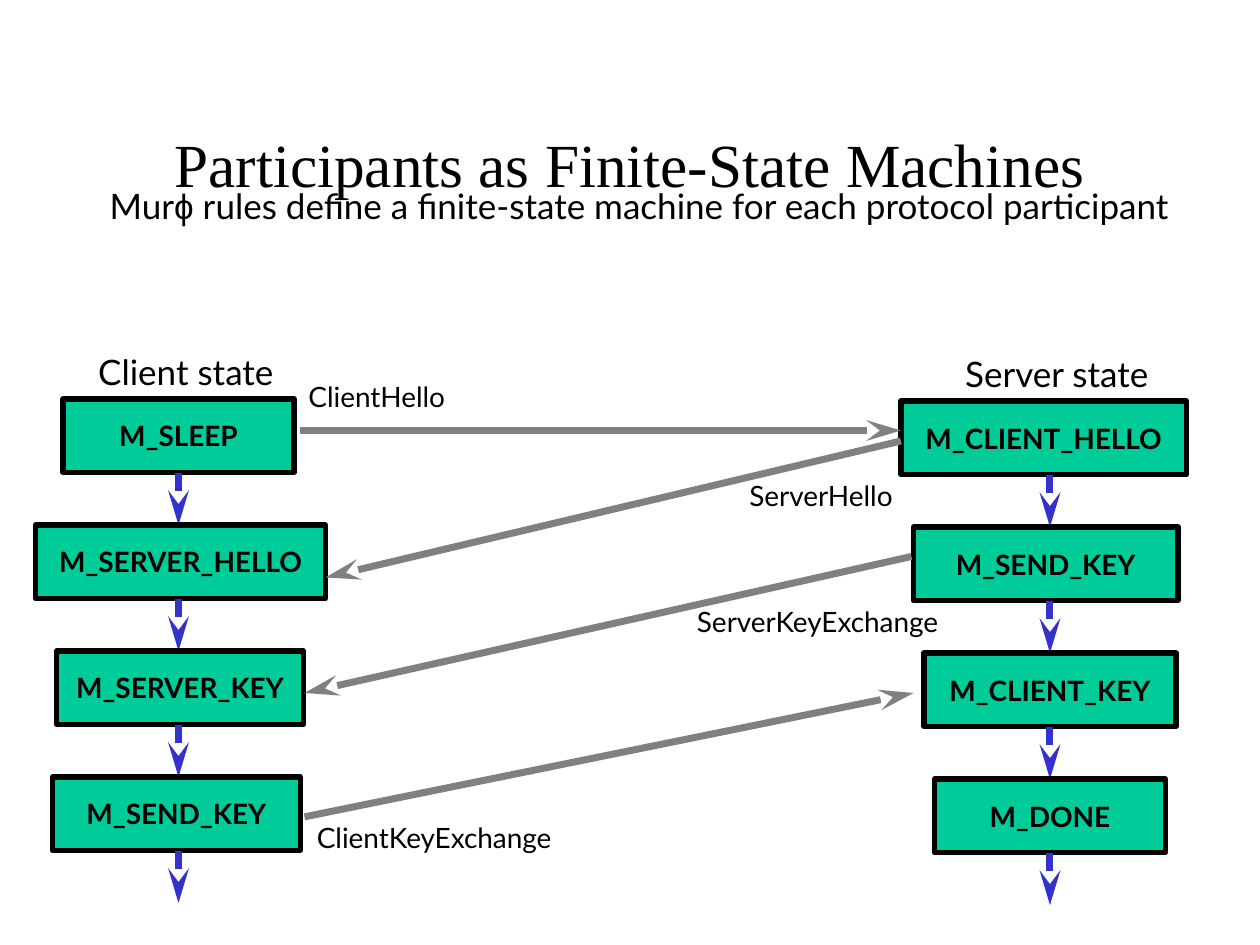
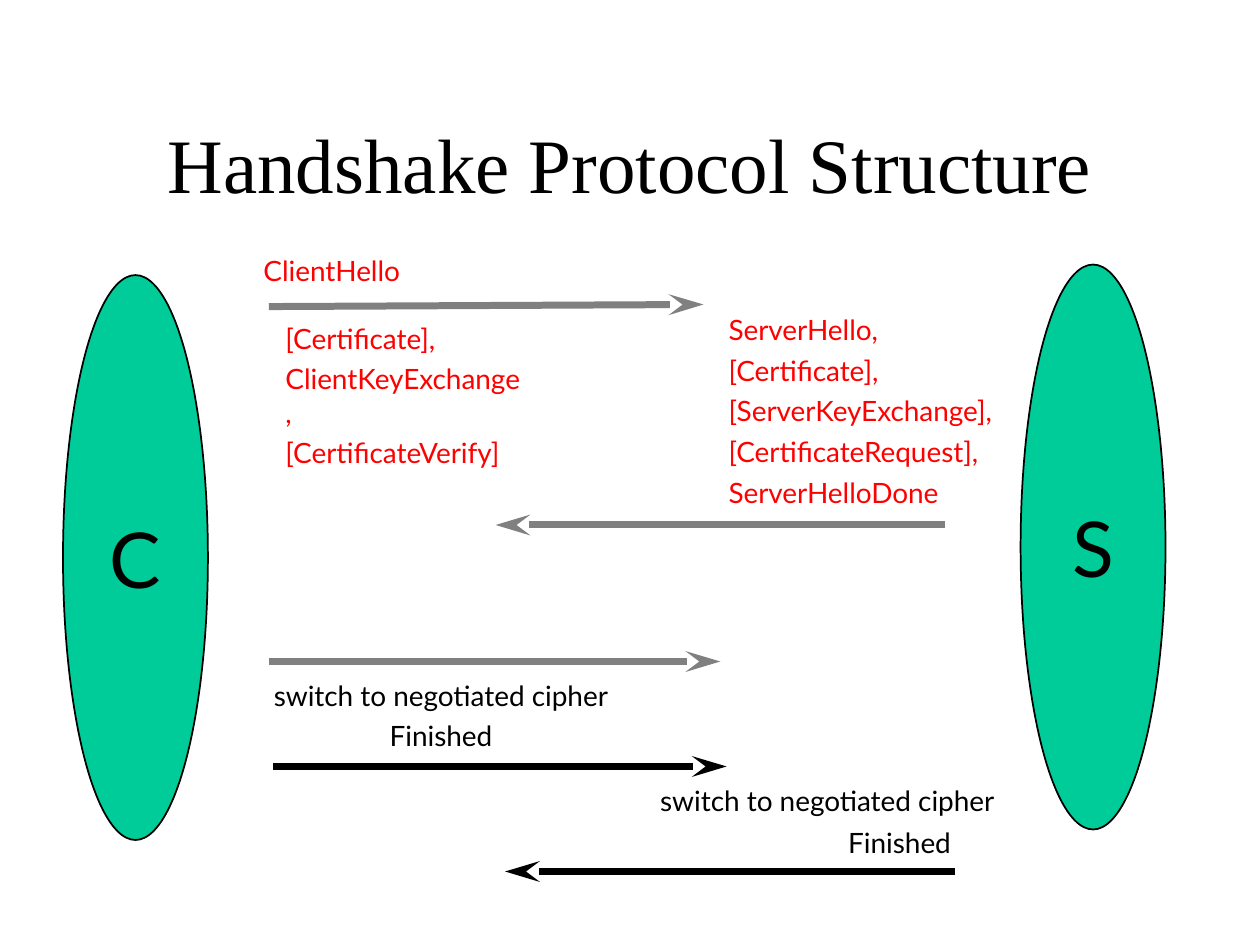
import pptx
import pptx.dml.color
import pptx.enum.shapes
import pptx.enum.text
import pptx.oxml.ns
import pptx.util
from lxml import etree

RGB = pptx.dml.color.RGBColor
BLACK = RGB(0x00, 0x00, 0x00)
GRAY = RGB(0x80, 0x80, 0x80)
GREEN = RGB(0x00, 0xCC, 0x99)
BLUE = RGB(0x33, 0x33, 0xCC)
RED = RGB(0xFF, 0x00, 0x00)

LEFT = pptx.enum.text.PP_ALIGN.LEFT
MID = pptx.enum.text.PP_ALIGN.CENTER
RECT = pptx.enum.shapes.MSO_SHAPE.RECTANGLE
OVAL = pptx.enum.shapes.MSO_SHAPE.OVAL

deck = pptx.Presentation()
deck.slide_width = pptx.util.Inches(10)
deck.slide_height = pptx.util.Inches(7.5)
UNIT = deck.slide_width / 120  # the grid has 120 columns and 90 rows


def put(slide, box, text, size=16, color=BLACK, align=LEFT, font="Lato",
        bold=False, form=None, edge=1):
    """Add text at box (left, top, width, height in grid units), in a green form if given."""
    place = [round(n * UNIT) for n in box]
    if form is None:
        shape = slide.shapes.add_textbox(*place)
    else:
        shape = slide.shapes.add_shape(form, *place)
        shape.shadow.inherit = False
        shape.fill.solid()
        shape.fill.fore_color.rgb = GREEN
        shape.line.color.rgb = BLACK
        shape.line.width = pptx.util.Pt(edge)
        shape.text_frame.vertical_anchor = pptx.enum.text.MSO_ANCHOR.MIDDLE
    frame = shape.text_frame
    frame.word_wrap = True
    frame.text = text
    for i, para in enumerate(frame.paragraphs):
        para.alignment = align
        para.space_before = pptx.util.Pt(4 if i else 0)
        para.font.size = pptx.util.Pt(size)
        para.font.name = font
        para.font.bold = bold
        para.font.color.rgb = color
    return frame


def arrow(slide, start, end, color):
    ends = [round(n * UNIT) for n in start + end]
    line = slide.shapes.add_connector(
        pptx.enum.shapes.MSO_CONNECTOR.STRAIGHT, *ends)
    line.line.color.rgb = color
    line.line.width = pptx.util.Pt(4)
    qn = pptx.oxml.ns.qn
    etree.SubElement(line.line._get_or_add_ln(), qn("a:tailEnd"),
                     type="stealth", w="med", len="lg")
    etree.SubElement(line._element.spPr, qn("a:effectLst"))


pages = []
for title, size in [("Participants as Finite-State Machines", 35),
                    ("Handshake Protocol Structure", 44)]:
    page = deck.slides.add_slide(deck.slide_layouts[6])
    frame = put(page, (9, 8, 102, 15), title, size, align=MID,
                font="Times New Roman")
    frame.vertical_anchor = pptx.enum.text.MSO_ANCHOR.MIDDLE
    pages.append(page)
states, shake = pages

# Slide 1: state machines
frame = put(states, (5.9, 17, 110, 5.3), "Mur", 20, align=MID)
intro = frame.paragraphs[0]
phi = intro.add_run()
phi.text = "ϕ"
phi.font.name = "Arial"
intro.add_run().text = " rules define a finite-state machine for each protocol participant"

put(states, (7.7, 32.8, 20, 5.3), "Client state", 20, align=MID)
put(states, (90.1, 33, 21.1, 5.3), "Server state", 20, align=MID)

STEP, TALL = 12, 7
client = [("M_SLEEP", 6, 22), ("M_SERVER_HELLO", 3.4, 27.6),
          ("M_SERVER_KEY", 5.4, 23.5), ("M_SEND_KEY", 5, 23.6)]
server = [("M_CLIENT_HELLO", 85.8, 27.2), ("M_SEND_KEY", 87, 25.2),
          ("M_CLIENT_KEY", 88, 24), ("M_DONE", 89, 22)]
for axis, top, chain in [(17, 38, client), (100, 38.2, server)]:
    for row, (name, left, width) in enumerate(chain):
        y = top + row * STEP
        put(states, (left, y, width, TALL), name, align=MID, bold=True,
            form=RECT, edge=3)
        arrow(states, (axis, y + TALL), (axis, y + STEP), BLUE)

# Message, label box (left, top, width), arrow start and end
for name, label, start, end in [
    ("ClientHello", (28.2, 35.6, 16.8), (28.6, 41), (85.8, 41)),
    ("ServerHello", (70.2, 45, 16.8), (85.8, 42), (31, 55)),
    ("ServerKeyExchange", (65.2, 57, 28.8), (86.8, 53), (29, 66)),
    ("ClientKeyExchange", (29, 77.6, 28.8), (29, 77.8), (87, 66)),
]:
    arrow(states, start, end, GRAY)
    put(states, label + (4.4,), name)

# Slide 2: handshake
for name, left, top in [("C", 6, 26.2), ("S", 97.2, 25.2)]:
    put(shake, (left, top, 13.8, 53.8), name, 44, align=MID, form=OVAL)

for start, end, color in [
    ((25.6, 29.2), (67, 29), GRAY),
    ((90, 50), (47.2, 50), GRAY),
    ((25.6, 63), (68.6, 63), GRAY),
    ((26, 73), (69.2, 73), BLACK),
    ((91, 83), (48.1, 83), BLACK),
]:
    arrow(shake, start, end, color)

hello = ("ServerHello,\n[Certificate],\n[ServerKeyExchange],\n"
         "[CertificateRequest],\nServerHelloDone")
proof = "[Certificate],\nClientKeyExchange,\n[CertificateVerify]"
switch = "switch to negotiated cipher"
for text, box, color, align in [
    ("ClientHello", (23.6, 23.6, 16, 4.4), RED, MID),
    (hello, (68.2, 29.2, 29.4, 20), RED, LEFT),
    (proof, (26, 30, 25.3, 23), RED, LEFT),
    (switch + "\nFinished", (23.8, 64, 36.4, 12), BLACK, MID),
    (switch, (60.6, 74, 36.4, 4.4), BLACK, MID),
    ("Finished", (79.6, 78, 12.8, 4.4), BLACK, LEFT),
]:
    put(shake, box, text, color=color, align=align)

deck.save("out.pptx")
